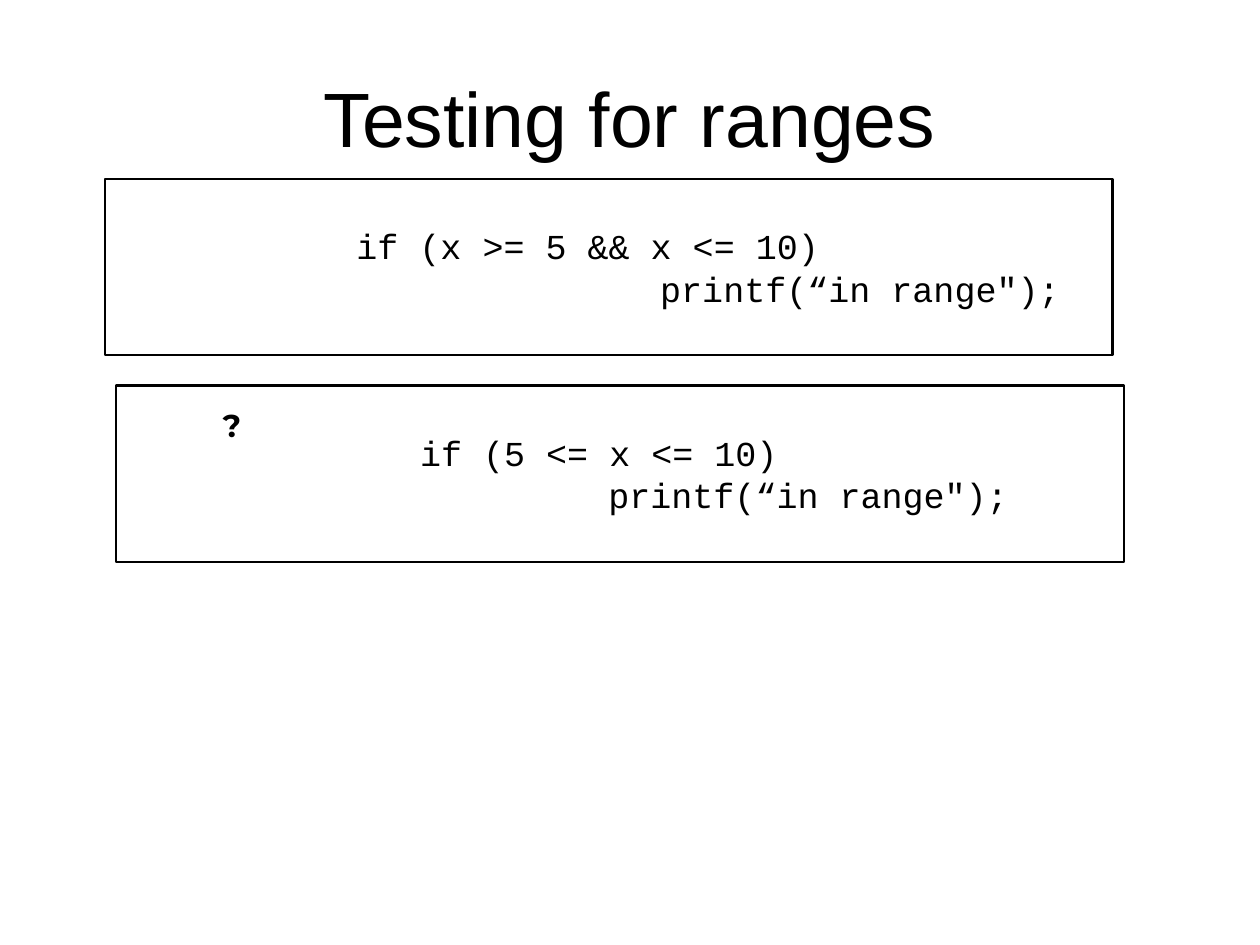
import pptx
import pptx.util
import pptx.dml.color
import pptx.enum.shapes
import pptx.enum.text
import pptx.oxml
import pptx.oxml.ns

Pt = pptx.util.Pt
ANCHOR = pptx.enum.text.MSO_ANCHOR
ALIGN = pptx.enum.text.PP_ALIGN
BLACK = pptx.dml.color.RGBColor(0, 0, 0)

TITLE = {"name": "Arial", "size": Pt(44)}
CODE = {"name": "Courier New", "size": Pt(20)}
MARK = {"name": "Montserrat", "size": Pt(18), "bold": True}
INSETS = {"margin_left": Pt(7.2), "margin_right": Pt(7.2),
          "margin_top": Pt(3.6), "margin_bottom": Pt(3.6)}


def apply(item, values):
    for key, value in values.items():
        setattr(item, key, value)


def write(para, text, style, align):
    para.alignment = align
    run = para.add_run()
    run.text = text
    apply(run.font, style)
    run.font.color.rgb = BLACK
    return run


def add_text(slide, area, text, style, align, frame):
    box = slide.shapes.add_textbox(*map(Pt, area))
    apply(box.text_frame, {**INSETS, **frame})
    return write(box.text_frame.paragraphs[0], text, style, align)


def add_code(slide, left, top, lines):
    box = slide.shapes.add_shape(
        pptx.enum.shapes.MSO_SHAPE.RECTANGLE,
        Pt(left), Pt(top), Pt(576), Pt(100.8))
    box.shadow.inherit = False
    box.fill.background()
    box.line.color.rgb = BLACK
    box.line.width = Pt(1.25)
    frame = box.text_frame
    apply(frame, {**INSETS, "word_wrap": True,
                  "vertical_anchor": ANCHOR.MIDDLE})
    for row, (indent, text) in enumerate(lines):
        para = frame.add_paragraph() if row else frame.paragraphs[0]
        write(para, text, CODE, ALIGN.LEFT)
        props = para._p.get_or_add_pPr()
        props.set("marL", str(Pt(indent)))
        props.set("indent", "0")


def outline(run, width):
    line = pptx.oxml.parse_xml(
        f'<a:ln {pptx.oxml.ns.nsdecls("a")} w="{Pt(width)}">'
        f'<a:solidFill><a:srgbClr val="{BLACK}"/></a:solidFill></a:ln>')
    run._r.get_or_add_rPr().insert(0, line)


def main():
    deck = pptx.Presentation()
    deck.slide_width, deck.slide_height = Pt(720), Pt(540)
    slide = deck.slides.add_slide(deck.slide_layouts[6])
    add_text(slide, (36, 21.6, 648, 90), "Testing for ranges", TITLE,
             ALIGN.CENTER,
             {"word_wrap": True, "vertical_anchor": ANCHOR.MIDDLE})
    add_code(slide, 59.8, 102.2, [
        (136.8, "if (x >= 5 && x <= 10)"),
        (310.4, "printf(“in range\");")])
    add_code(slide, 66.2, 220.3, [
        (166.8, "if (5 <= x <= 10)"),
        (274.4, "printf(“in range\");")])
    mark = add_text(slide, (120.2, 228.2, 21.6, 51.1), "?", MARK,
                    ALIGN.LEFT, {"word_wrap": False})
    outline(mark, 0.75)
    deck.save("out.pptx")


if __name__ == "__main__":
    main()
